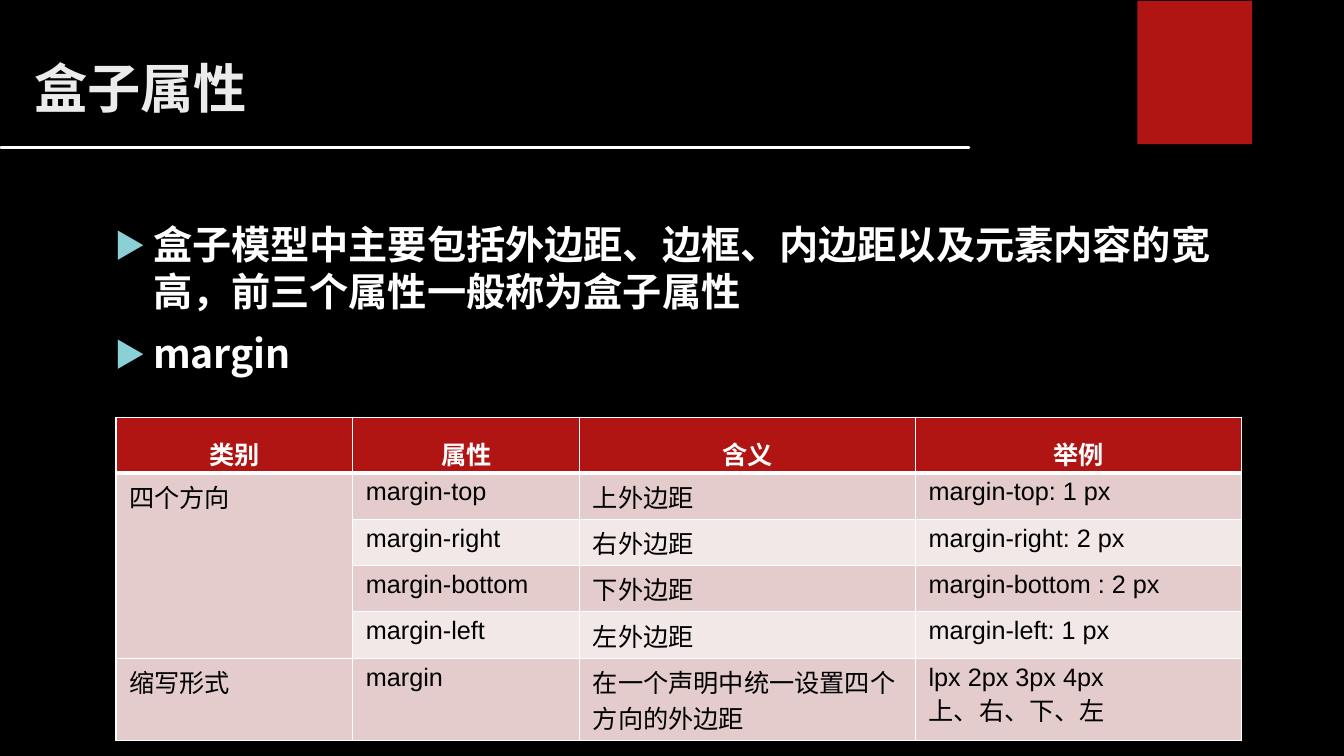
import pptx
import pptx.util
import pptx.oxml.ns
import pptx.dml.color
import pptx.enum.shapes
import pptx.enum.text
import lxml.etree

PX = 9144  # EMU in one px, 100 px to the inch
THEME = {
    "black": "000000", "white": "FFFFFF", "red": "B01513", "title": "EBEBEB",
    "bullet": "8AD0D6", "dark": "E4CCCC", "light": "F2E8E7",
    "han": "Noto Sans CJK SC", "latin": "Arial",
    "title_pt": 38, "body_pt": 28, "cell_pt": 18,
}
RGB = pptx.dml.color.RGBColor.from_string
qn = pptx.oxml.ns.qn


def style(para, face, size, color, bold):
    """Format every run of a paragraph."""
    for run in para.runs:
        font = run.font
        font.name = THEME[face]
        font.size = pptx.util.Pt(THEME[size])
        font.bold = bold
        font.color.rgb = RGB(THEME[color])
        east = lxml.etree.SubElement(run._r.get_or_add_rPr(), qn("a:ea"))
        east.set("typeface", THEME[face])


def add_text(left, top, width, height, lines):
    """Add a wrapped text box with one paragraph per line."""
    box = slide.shapes.add_textbox(left * PX, top * PX, width * PX, height * PX)
    box.text_frame.word_wrap = True
    box.text_frame.text = "\n".join(lines)
    return box.text_frame


deck = pptx.Presentation()
deck.slide_width, deck.slide_height = 1333 * PX, 750 * PX
slide = deck.slides.add_slide(deck.slide_layouts[6])
slide.background.fill.solid()
slide.background.fill.fore_color.rgb = RGB(THEME["black"])

# Red tab and rule
tab = slide.shapes.add_shape(
    pptx.enum.shapes.MSO_SHAPE.RECTANGLE, 1128 * PX, PX, 114 * PX, 142 * PX)
tab.shadow.inherit = False
tab.fill.solid()
tab.fill.fore_color.rgb = RGB(THEME["red"])
tab.line.fill.background()
rule = slide.shapes.add_connector(
    pptx.enum.shapes.MSO_CONNECTOR.STRAIGHT, PX, 146 * PX, 961 * PX, 146 * PX)
rule.line.color.rgb = RGB(THEME["white"])
rule.line.width = pptx.util.Pt(2.25)
rule.line._get_or_add_ln().set("cap", "rnd")
lxml.etree.SubElement(rule._element.spPr, qn("a:effectLst"))

# Title
head = add_text(24, 50, 1083, 121, ["盒子属性"]).paragraphs[0]
style(head, "han", "title_pt", "title", True)

# Bullets
body = add_text(104, 214, 1143, 455, [
    "盒子模型中主要包括外边距、边框、内边距以及元素内容的宽高，前三个属性一般称为盒子属性",
    "margin",
])
for i, para in enumerate(body.paragraphs):
    props = para._p.get_or_add_pPr()
    props.set("marL", str(38 * PX))
    props.set("indent", str(-38 * PX))
    tint = lxml.etree.SubElement(props, qn("a:buClr"))
    lxml.etree.SubElement(tint, qn("a:srgbClr")).set("val", THEME["bullet"])
    lxml.etree.SubElement(props, qn("a:buSzPct")).set("val", "80000")
    lxml.etree.SubElement(props, qn("a:buFont")).set("typeface", THEME["han"])
    lxml.etree.SubElement(props, qn("a:buChar")).set("char", "▶")
    if i:
        para.space_before = pptx.util.Pt(10)
    style(para, "han", "body_pt", "white", True)

# Table of margin properties
ROWS = [
    ["类别", "属性", "含义", "举例"],
    ["四个方向", "margin-top", "上外边距", "margin-top: 1 px"],
    ["", "margin-right", "右外边距", "margin-right: 2 px"],
    ["", "margin-bottom", "下外边距", "margin-bottom : 2 px"],
    ["", "margin-left", "左外边距", "margin-left: 1 px"],
    ["缩写形式", "margin", "在一个声明中统一设置四个方向的外边距",
     "lpx 2px 3px 4px\n上、右、下、左"],
]
WIDTHS = [235, 225, 333, 323]
HEIGHTS = [55] + [46] * 4 + [82]
grid = slide.shapes.add_table(
    len(ROWS), len(WIDTHS), 115 * PX, 414 * PX,
    sum(WIDTHS) * PX, sum(HEIGHTS) * PX).table
for col, width in zip(grid.columns, WIDTHS):
    col.width = width * PX
for row, height in zip(grid.rows, HEIGHTS):
    row.height = height * PX
grid.cell(1, 0).merge(grid.cell(4, 0))

for r, texts in enumerate(ROWS):
    for c, text in enumerate(texts):
        cell = grid.cell(r, c)
        side, edge = (13, 5) if r else (1, 0)
        cell.margin_left = cell.margin_right = side * PX
        cell.margin_top = cell.margin_bottom = edge * PX
        cell.text_frame.text = text
        for para in cell.text_frame.paragraphs:
            if r == 0:
                para.alignment = pptx.enum.text.PP_ALIGN.CENTER
                para.line_spacing = 1.5
                para.space_after = pptx.util.Pt(5)
            face = "latin" if para.text.isascii() else "han"
            style(para, face, "cell_pt", "black" if r else "white", r == 0)

        # Borders come before the fill; the header has a thick foot
        props = cell._tc.get_or_add_tcPr()
        for name in ("lnL", "lnR", "lnT", "lnB"):
            thick = (r, name) in ((0, "lnB"), (1, "lnT"))
            line = lxml.etree.SubElement(props, qn("a:" + name))
            line.set("w", str(pptx.util.Pt(3 if thick else 1)))
            paint = lxml.etree.SubElement(line, qn("a:solidFill"))
            lxml.etree.SubElement(paint, qn("a:srgbClr")).set("val", THEME["white"])
        shade = "red" if r == 0 else "dark" if r % 2 else "light"
        cell.fill.solid()
        cell.fill.fore_color.rgb = RGB(THEME[shade])

deck.save("out.pptx")
